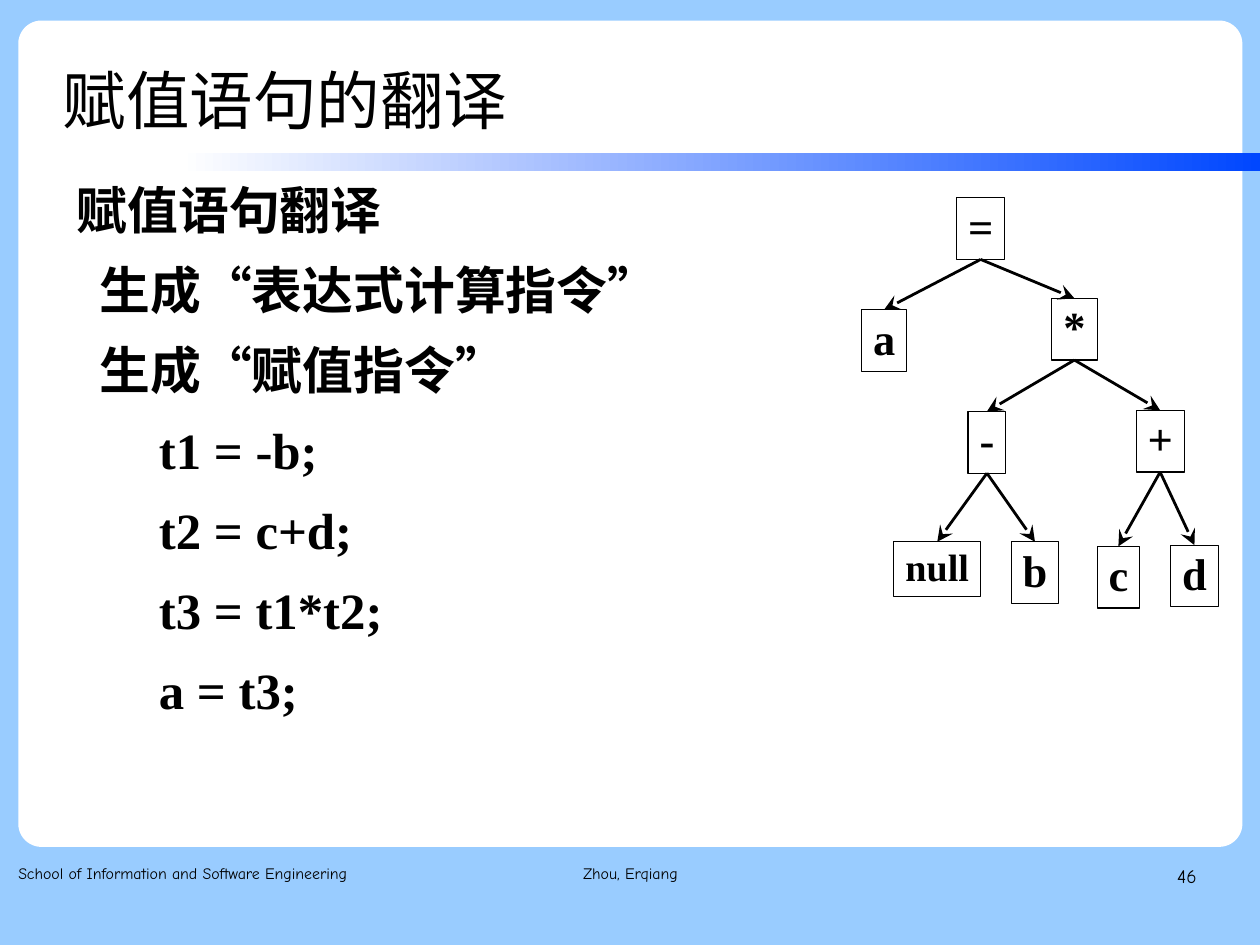
from lxml import etree
from pptx import Presentation
from pptx.dml.color import RGBColor
from pptx.enum.shapes import MSO_CONNECTOR, MSO_SHAPE
from pptx.enum.text import MSO_ANCHOR, PP_ALIGN
from pptx.oxml.ns import qn
from pptx.util import Inches, Pt

RECT, ROUNDED = MSO_SHAPE.RECTANGLE, MSO_SHAPE.ROUNDED_RECTANGLE
STRAIGHT = MSO_CONNECTOR.STRAIGHT
TOP, MIDDLE = MSO_ANCHOR.TOP, MSO_ANCHOR.MIDDLE
LEFT, CENTER, RIGHT = PP_ALIGN.LEFT, PP_ALIGN.CENTER, PP_ALIGN.RIGHT

# A page of 28 by 21 centimetres
PAGE_WIDTH, PAGE_HEIGHT = 28 / 2.54, 21 / 2.54
COLORS = {"sky": "99CCFF", "panel": "FFFFFF", "bar": "0047FF", "ink": "000000"}
CJK, SERIF, FOOTER_FONT = "Noto Sans CJK SC", "Times New Roman", "Comic Neue"

# Text, left indent, font
BODY_LINES = [
    ("赋值语句翻译", 0.12, CJK),
    ("生成“表达式计算指令”", 0.32, CJK),
    ("生成“赋值指令”", 0.32, CJK),
    ("t1 = -b;", 0.84, SERIF),
    ("t2 = c+d;", 0.84, SERIF),
    ("t3 = t1*t2;", 0.84, SERIF),
    ("a = t3;", 0.84, SERIF),
]

# Label: left, top, width inside the tree's box
NODES = {
    "=": (0.83, 0, 0.42),
    "a": (0, 0.98, 0.39),
    "*": (1.66, 0.88, 0.4),
    "-": (0.93, 1.87, 0.33),
    "+": (2.4, 1.86, 0.42),
    "null": (0.28, 3.01, 0.76),
    "b": (1.31, 3.01, 0.41),
    "c": (2.06, 3.05, 0.37),
    "d": (2.7, 3.04, 0.42),
}
CHILDREN = {"=": ("a", "*"), "*": ("-", "+"), "-": ("null", "b"), "+": ("c", "d")}


def color(name):
    return RGBColor.from_string(COLORS[name])


def add_span(para, text, size, font, bold=False):
    span = para.add_run()
    span.text = text
    span.font.size = Pt(size)
    span.font.name = font
    span.font.bold = bold
    span.font.color.rgb = color("ink")
    east_asian = etree.SubElement(span.font._element, qn("a:ea"))
    east_asian.set("typeface", CJK)


def set_frame(frame, inset_x=0, inset_y=0, anchor=TOP, wrap=True):
    frame.word_wrap = wrap
    frame.vertical_anchor = anchor
    frame.margin_left = frame.margin_right = Inches(inset_x)
    frame.margin_top = frame.margin_bottom = Inches(inset_y)


def add_plain_shape(page, kind, left, top, width, height):
    shape = page.shapes.add_shape(
        kind, Inches(left), Inches(top), Inches(width), Inches(height))
    shape.shadow.inherit = False
    return shape


def add_backdrop(page, width):
    page.background.fill.solid()
    page.background.fill.fore_color.rgb = color("sky")
    # White panel
    panel = add_plain_shape(page, ROUNDED, 0.16, 0.18, 10.71, 7.23)
    panel.adjustments[0] = 0.028
    panel.fill.solid()
    panel.fill.fore_color.rgb = color("panel")
    panel.line.fill.background()
    # Fading bar that runs to the right edge
    bar = add_plain_shape(page, RECT, 1.57, 1.34, width - 1.57, 0.16)
    bar.fill.gradient()
    bar.fill.gradient_angle = 0
    for stop, name, position in zip(bar.fill.gradient_stops, ("panel", "bar"), (0, 1)):
        stop.color.rgb = color(name)
        stop.position = position
    bar.line.fill.background()


def add_title(page, left, top, width, height):
    title = page.shapes.title
    title.left, title.top = Inches(left), Inches(top)
    title.width, title.height = Inches(width), Inches(height)
    set_frame(title.text_frame, anchor=MIDDLE)
    para = title.text_frame.paragraphs[0]
    para.alignment = LEFT
    para.line_spacing = 1.1
    add_span(para, "赋值语句的翻译", 40, "Arial")
    # Bring the title in front of the panel
    title.element.getparent().append(title.element)


def add_body(page, left, top, width, height):
    box = page.shapes.add_textbox(
        Inches(left), Inches(top), Inches(width), Inches(height))
    frame = box.text_frame
    set_frame(frame, inset_y=0.02)
    for index, (text, indent, font) in enumerate(BODY_LINES):
        para = frame.add_paragraph() if index else frame.paragraphs[0]
        para._p.get_or_add_pPr().set("marL", str(Inches(indent)))
        para.line_spacing = Pt(36.2)
        para.space_after = Pt(14.2)
        add_span(para, text, 32, font, bold=True)


def add_footer(page, top, height):
    for left, width, text, size, align in (
            (0.16, 3.38, "School of Information and Software Engineering", 10, LEFT),
            (3.77, 3.49, "Zhou, Erqiang", 10, CENTER),
            (7.9, 2.57, "46", 12, RIGHT)):
        box = page.shapes.add_textbox(
            Inches(left), Inches(top), Inches(width), Inches(height))
        set_frame(box.text_frame)
        para = box.text_frame.paragraphs[0]
        para.alignment = align
        para.line_spacing = 1.16
        add_span(para, text, size, FOOTER_FONT)


def add_node(page, label, left, top, width):
    is_word = len(label) > 1
    node = add_plain_shape(page, RECT, left, top, width, 0.48 if is_word else 0.54)
    node.fill.background()
    node.line.color.rgb = color("ink")
    node.line.width = Pt(0.75)
    set_frame(node.text_frame, 0.1, 0.05, wrap=False)
    para = node.text_frame.paragraphs[0]
    para.alignment = CENTER
    para.line_spacing = 0.93
    add_span(para, label, 24 if is_word else 28, SERIF, bold=True)
    return node


def add_arrow(page, parent, child):
    arrow = page.shapes.add_connector(
        STRAIGHT,
        parent.left + parent.width // 2, parent.top + parent.height,
        child.left + child.width // 2, child.top)
    arrow.line.color.rgb = color("ink")
    arrow.line.width = Pt(1.75)
    etree.SubElement(arrow.line._get_or_add_ln(), qn("a:tailEnd"),
                     type="stealth", w="lg", len="lg")
    etree.SubElement(arrow.element.spPr, qn("a:effectLst"))


def add_syntax_tree(page, left, top):
    nodes = {label: add_node(page, label, left + x, top + y, width)
             for label, (x, y, width) in NODES.items()}
    for parent, children in CHILDREN.items():
        for child in children:
            add_arrow(page, nodes[parent], nodes[child])


def main():
    deck = Presentation()
    deck.slide_width, deck.slide_height = Inches(PAGE_WIDTH), Inches(PAGE_HEIGHT)
    page = deck.slides.add_slide(deck.slide_layouts[5])
    add_backdrop(page, PAGE_WIDTH)
    add_title(page, 0.55, 0.33, 8.58, 1.01)
    add_footer(page, 7.53, 0.57)
    add_body(page, 0.55, 1.57, 9.92, 5.51)
    add_syntax_tree(page, 7.54, 1.73)
    deck.save("out.pptx")


if __name__ == "__main__":
    main()
